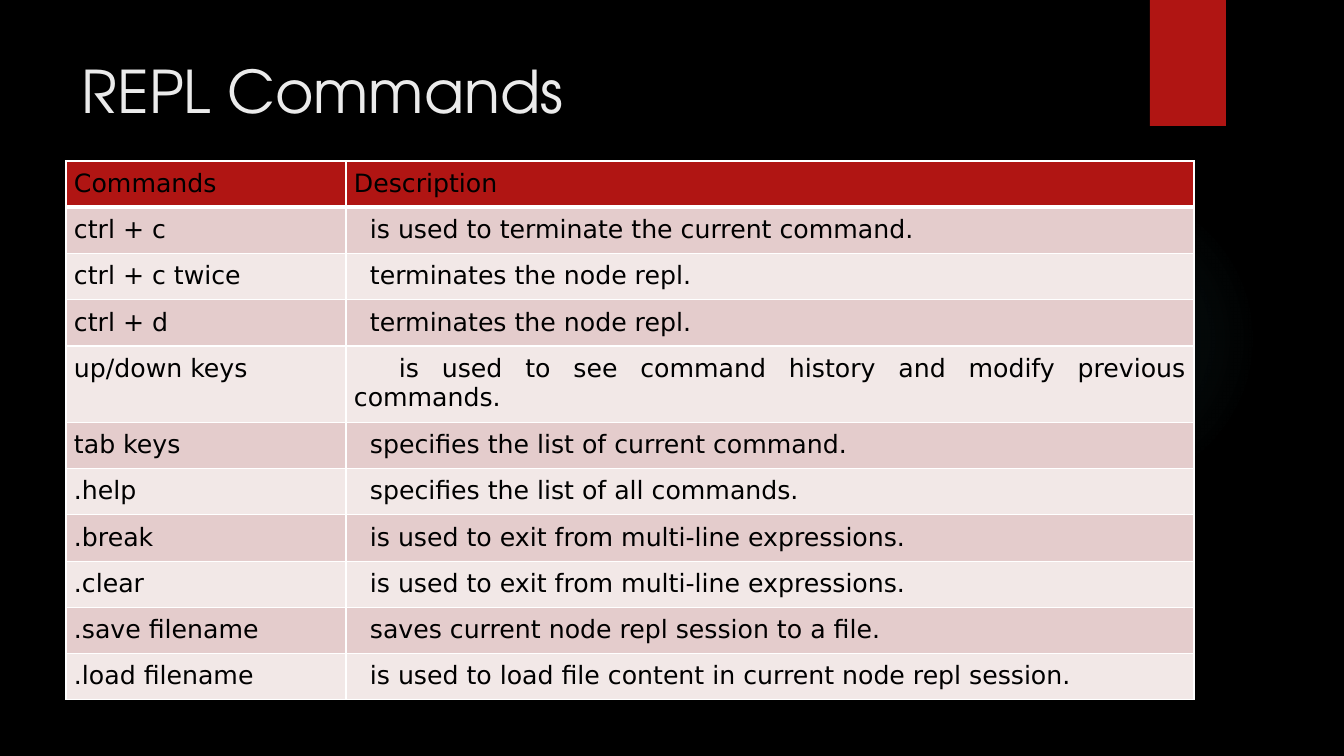
from dataclasses import dataclass

from lxml import etree
from pptx import Presentation
from pptx.dml.color import RGBColor
from pptx.enum.shapes import MSO_SHAPE
from pptx.enum.text import MSO_ANCHOR, PP_ALIGN
from pptx.oxml import parse_xml
from pptx.oxml.ns import qn
from pptx.util import Emu, Pt

EMU_PER_PX = 914400 / 100.8
DRAWING_NS = "http://schemas.openxmlformats.org/drawingml/2006/main"

BLACK = RGBColor(0x00, 0x00, 0x00)
WHITE = RGBColor(0xFF, 0xFF, 0xFF)
RED = RGBColor(0xB0, 0x15, 0x13)
TITLE_GREY = RGBColor(0xEB, 0xEB, 0xEB)
GLOW_TEAL = RGBColor(0x50, 0xB9, 0xC1)
BANDS = (RGBColor(0xE4, 0xCC, 0xCC), RGBColor(0xF2, 0xE8, 0xE7))

OVAL = MSO_SHAPE.OVAL
RECTANGLE = MSO_SHAPE.RECTANGLE
TOP = MSO_ANCHOR.TOP
JUSTIFY = PP_ALIGN.JUSTIFY

TITLE_FONT = {"name": "TeX Gyre Adventor", "size": Pt(42)}
CELL_FONT = {"name": "DejaVu Sans", "size": Pt(18)}
COLUMN_WIDTHS = (280, 848)
CELL_MARGIN = 8
GLOW_STOPS = ((0, 7), (36, 6), (69, 0))


@dataclass(frozen=True)
class Command:
    keys: str
    description: str
    indent: int = 16
    height: int = 46


HEADER = Command("Commands", "Description", indent=0)
COMMANDS = (
    Command("ctrl + c", "is used to terminate the current command."),
    Command("ctrl + c twice", "terminates the node repl."),
    Command("ctrl + d", "terminates the node repl."),
    Command("up/down keys",
            "is used to see command history and modify previous commands.",
            indent=45, height=75),
    Command("tab keys", "specifies the list of current command."),
    Command(".help", "specifies the list of all commands."),
    Command(".break", "is used to exit from multi-line expressions."),
    Command(".clear", "is used to exit from multi-line expressions."),
    Command(".save filename", "saves current node repl session to a file."),
    Command(".load filename",
            "is used to load file content in current node repl session."),
)


def px(value: int) -> Emu:
    return Emu(round(value * EMU_PER_PX))


def box(*values: int) -> list[Emu]:
    return [px(value) for value in values]


def set_all(target, values: dict) -> None:
    for name, value in values.items():
        setattr(target, name, value)


def write(p, text: str, font: dict, color: RGBColor) -> None:
    r = p.add_run()
    r.text = text
    set_all(r.font, font)
    r.font.color.rgb = color


def add_plain_shape(slide, kind, bounds: list[Emu], color: RGBColor):
    sp = slide.shapes.add_shape(kind, *bounds)
    sp.shadow.inherit = False
    sp.fill.solid()
    sp.fill.fore_color.rgb = color
    sp.line.fill.background()
    return sp


def add_glow(slide, bounds: list[Emu]) -> None:
    sp = add_plain_shape(slide, OVAL, bounds, GLOW_TEAL)
    stops = "".join(
        f'<a:gs pos="{pos * 1000}"><a:srgbClr val="{GLOW_TEAL}">'
        f'<a:alpha val="{alpha * 1000}"/></a:srgbClr></a:gs>'
        for pos, alpha in GLOW_STOPS
    )
    gradient = parse_xml(
        f'<a:gradFill xmlns:a="{DRAWING_NS}"><a:gsLst>{stops}</a:gsLst>'
        '<a:path path="circle"><a:fillToRect l="50000" t="50000" '
        'r="50000" b="50000"/></a:path></a:gradFill>'
    )
    spPr = sp.element.spPr
    spPr.replace(spPr.find(qn("a:solidFill")), gradient)


def add_title(slide, text: str, bounds: list[Emu]) -> None:
    tf = slide.shapes.add_textbox(*bounds).text_frame
    set_all(tf, {"word_wrap": True, "vertical_anchor": TOP})
    write(tf.paragraphs[0], text, TITLE_FONT, TITLE_GREY)


def add_borders(cell, bottom: int) -> None:
    tcPr = cell._tc.get_or_add_tcPr()
    for side, width in (("L", 1), ("R", 1), ("T", 1), ("B", bottom)):
        ln = etree.SubElement(tcPr, qn(f"a:ln{side}"), w=str(Pt(width)))
        fill = etree.SubElement(ln, qn("a:solidFill"))
        etree.SubElement(fill, qn("a:srgbClr"), val=str(WHITE))


def fill_cell(cell, text: str, indent: int, color: RGBColor, bottom: int) -> None:
    add_borders(cell, bottom)
    cell.fill.solid()
    cell.fill.fore_color.rgb = color
    set_all(cell, {f"margin_{side}": px(CELL_MARGIN)
                   for side in ("left", "right", "top", "bottom")})
    cell.vertical_anchor = TOP
    p = cell.text_frame.paragraphs[0]
    p.alignment = JUSTIFY
    if indent:
        pPr = p._p.get_or_add_pPr()
        pPr.set("marL", "0")
        pPr.set("indent", str(px(indent)))
    write(p, text, CELL_FONT, BLACK)


def add_commands_table(slide, left: int, top: int) -> None:
    rows = (HEADER, *COMMANDS)
    bounds = box(left, top, sum(COLUMN_WIDTHS), sum(row.height for row in rows))
    table = slide.shapes.add_table(len(rows), len(COLUMN_WIDTHS), *bounds).table
    set_all(table, {"first_row": False, "horz_banding": False})
    for column, width in zip(table.columns, COLUMN_WIDTHS):
        column.width = px(width)
    for i, row in enumerate(rows):
        table.rows[i].height = px(row.height)
        is_header = row is HEADER
        color = RED if is_header else BANDS[(i - 1) % 2]
        bottom = 3 if is_header else 1
        fill_cell(table.cell(i, 0), row.keys, 0, color, bottom)
        fill_cell(table.cell(i, 1), row.description, row.indent, color, bottom)


def main() -> None:
    prs = Presentation()
    set_all(prs, {"slide_width": px(1344), "slide_height": px(756)})
    slide = prs.slides.add_slide(prs.slide_layouts[6])
    slide.background.fill.solid()
    slide.background.fill.fore_color.rgb = BLACK
    add_glow(slide, box(949, 184, 310, 310))
    add_plain_shape(slide, RECTANGLE, box(1150, 0, 76, 126), RED)
    add_title(slide, "REPL Commands", box(72, 50, 1037, 154))
    add_commands_table(slide, 66, 161)
    prs.save("out.pptx")


if __name__ == "__main__":
    main()
